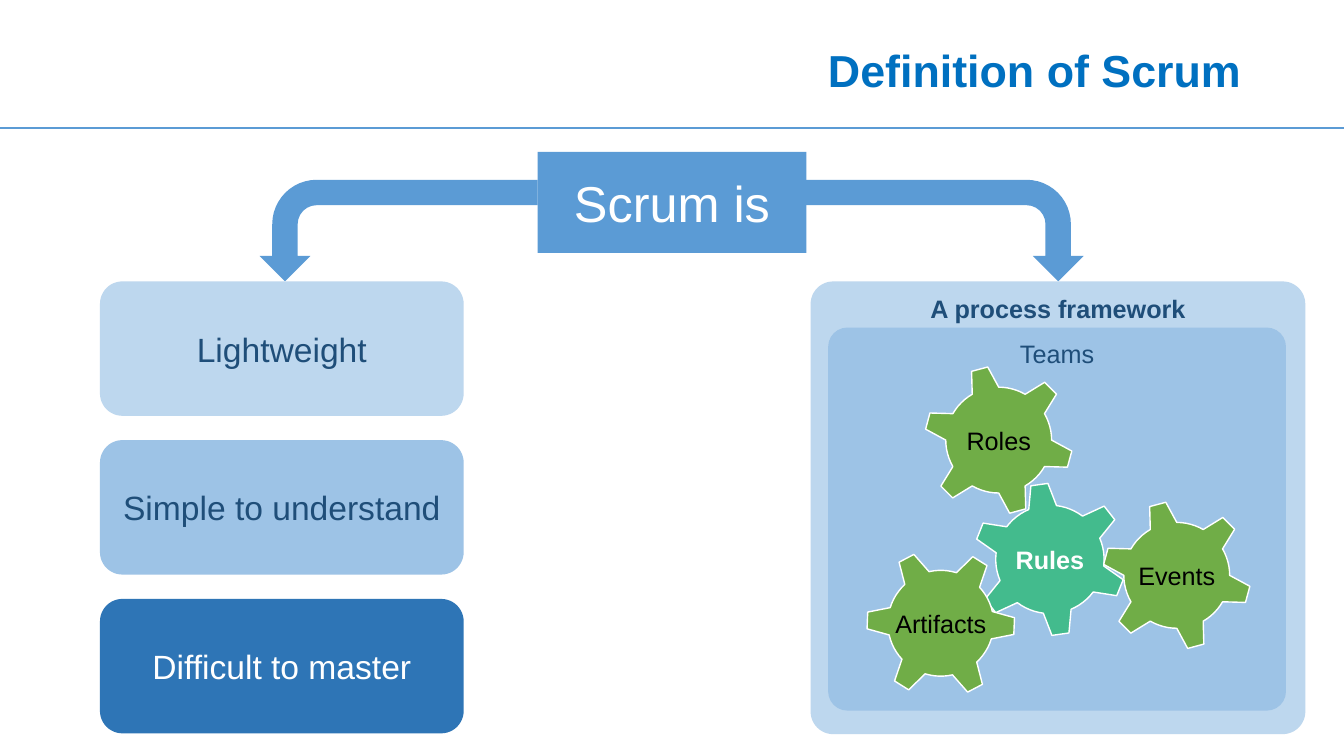
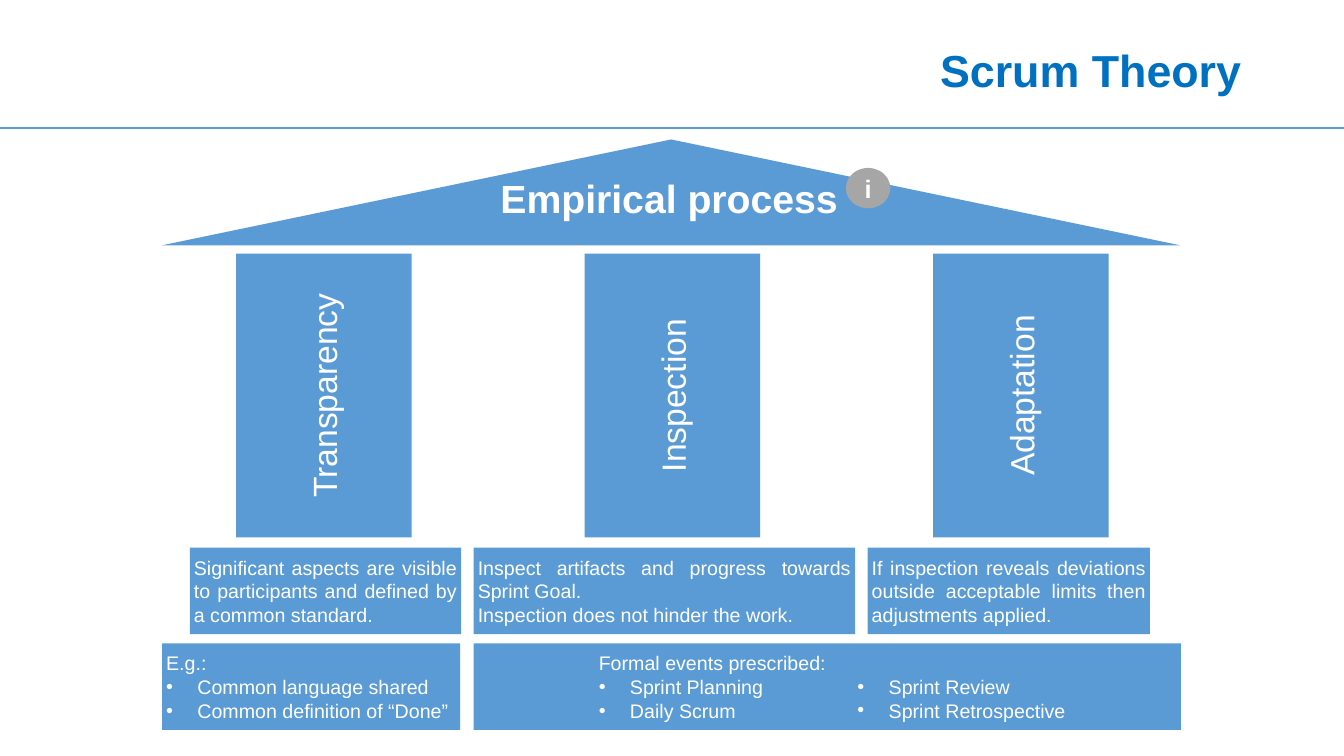
from dataclasses import dataclass, replace
from math import cos, radians, sin

from lxml import etree
from pptx import Presentation
from pptx.dml.color import RGBColor
from pptx.enum.shapes import MSO_CONNECTOR, MSO_SHAPE
from pptx.enum.text import MSO_ANCHOR, PP_ALIGN
from pptx.oxml.ns import qn
from pptx.util import Emu, Inches, Pt

RECTANGLE = MSO_SHAPE.RECTANGLE
ROUNDED = MSO_SHAPE.ROUNDED_RECTANGLE
BENT_ARROW = MSO_SHAPE.BENT_ARROW
TRIANGLE = MSO_SHAPE.ISOSCELES_TRIANGLE
OVAL = MSO_SHAPE.OVAL
STRAIGHT = MSO_CONNECTOR.STRAIGHT
LEFT, CENTER, RIGHT = PP_ALIGN.LEFT, PP_ALIGN.CENTER, PP_ALIGN.RIGHT
JUSTIFY = PP_ALIGN.JUSTIFY
TOP, MIDDLE = MSO_ANCHOR.TOP, MSO_ANCHOR.MIDDLE

COLUMNS, ROWS = 160, 90
CELL = Inches(1) // 12
FONT = "Arial"
BULLET_INDENT = Inches(0.31)
COLORS = {
    "title": "0070C0",
    "blue": "5B9BD5",
    "pale": "BDD7EE",
    "light": "9DC3E6",
    "deep": "2E75B6",
    "navy": "1F4E79",
    "green": "70AD47",
    "teal": "43BB8D",
    "gray": "A6A6A6",
    "white": "FFFFFF",
    "black": "000000",
}


@dataclass(frozen=True)
class Area:
    left: float
    top: float
    width: float
    height: float

    def emu(self) -> tuple:
        return tuple(cells(value) for value in (self.left, self.top, self.width, self.height))


@dataclass(frozen=True)
class Style:
    size: int
    color: str = "white"
    bold: bool = False
    align: PP_ALIGN = CENTER
    anchor: MSO_ANCHOR = MIDDLE
    wrap: bool = True
    tight: bool = False
    spacing: float = 1.0


@dataclass(frozen=True)
class Line:
    text: str
    bullet: bool = False


@dataclass(frozen=True)
class Card:
    text: str
    fill: str
    color: str


@dataclass(frozen=True)
class Gear:
    text: str
    column: float
    row: float
    turn: float
    fill: str = "green"
    hub: float = 6.3
    tip: float = 8.8
    color: str = "black"
    bold: bool = False


@dataclass(frozen=True)
class Panel:
    left: float
    width: float
    lines: tuple


TITLE = Style(32, "title", bold=True, align=RIGHT, spacing=0.9)
NOTE = Style(14, align=JUSTIFY, tight=True)

CARDS = (
    Card("Lightweight", "pale", "navy"),
    Card("Simple to understand", "light", "navy"),
    Card("Difficult to master", "deep", "white"),
)
GEARS = (
    Gear("Rules", 125, 66.6, -38, "teal", 6.45, 9.05, "white", True),
    Gear("Roles", 118.9, 52.4, -45),
    Gear("Events", 140.1, 68.5, -45),
    Gear("Artifacts", 112, 74.2, -57.8),
)
PILLARS = ("Transparency", "Inspection", "Adaptation")
NOTES = (
    Panel(22.6, 32.3, (
        Line("Significant aspects are visible to participants and defined by a common standard."),
    )),
    Panel(56.4, 45.4, (
        Line("Inspect artifacts and progress towards Sprint Goal."),
        Line("Inspection does not hinder the work."),
    )),
    Panel(103.3, 33.6, (
        Line("If inspection reveals deviations outside acceptable limits then adjustments applied."),
    )),
)
DETAILS = (
    Panel(19.3, 35.5, (
        Line("E.g.:"),
        Line("Common language shared", True),
        Line("Common definition of “Done”", True),
    )),
    Panel(56.4, 84.2, ()),
)
PLANNING = (
    Line("Formal events prescribed:"),
    Line("Sprint Planning", True),
    Line("Daily Scrum", True),
)
REVIEWS = (Line("Sprint Review", True), Line("Sprint Retrospective", True))


def cells(count: float) -> Emu:
    return Emu(round(count * CELL))


def color_of(name: str) -> RGBColor:
    return RGBColor.from_string(COLORS[name])


def add_bullet(para) -> None:
    properties = para._p.get_or_add_pPr()
    properties.set("marL", str(BULLET_INDENT))
    properties.set("indent", str(-BULLET_INDENT))
    etree.SubElement(properties, qn("a:buFont"), typeface=FONT)
    etree.SubElement(properties, qn("a:buChar"), char="•")


def write(shape, lines: tuple, style: Style) -> None:
    frame = shape.text_frame
    frame.word_wrap = style.wrap
    frame.vertical_anchor = style.anchor
    if style.tight:
        frame.margin_left = frame.margin_right = Inches(0.04)
    for index, line in enumerate(lines):
        para = frame.add_paragraph() if index else frame.paragraphs[0]
        para.text = line.text
        para.alignment = style.align
        para.line_spacing = style.spacing
        if line.bullet:
            add_bullet(para)
        para.font.name = FONT
        para.font.size = Pt(style.size)
        para.font.bold = style.bold
        para.font.color.rgb = color_of(style.color)


def paint(shape, fill: str) -> None:
    shape.shadow.inherit = False
    shape.fill.solid()
    shape.fill.fore_color.rgb = color_of(fill)
    shape.line.fill.background()


def add_box(page, area: Area, fill: str, kind=RECTANGLE, lines: tuple = (), style: Style = NOTE):
    box = page.shapes.add_shape(kind, *area.emu())
    paint(box, fill)
    write(box, lines, style)
    return box


def add_text(page, area: Area, lines: tuple, style: Style) -> None:
    write(page.shapes.add_textbox(*area.emu()), lines, style)


def add_page(deck, title: str):
    page = deck.slides.add_slide(deck.slide_layouts[6])
    rule = page.shapes.add_connector(STRAIGHT, 0, cells(15.2), cells(COLUMNS), cells(15.2))
    rule.line.color.rgb = color_of("blue")
    rule.line.width = Pt(1.5)
    etree.SubElement(rule._element.spPr, qn("a:effectLst"))
    add_text(page, Area(11, 4.8, 138, 7.7), (Line(title),), TITLE)
    return page


def add_arrow(page, left: float, rotation: int, mirrored: bool) -> None:
    arrow = add_box(page, Area(left, 10.9, 12.1, 33.1), "blue", BENT_ARROW)
    arrow.rotation = rotation
    if mirrored:
        arrow._element.spPr.find(qn("a:xfrm")).set("flipH", "1")


def gear_points(gear: Gear) -> list:
    profile = [(-15, gear.hub), (-6.5, gear.tip), (6.5, gear.tip)]
    profile += [(angle, gear.hub) for angle in range(15, 45, 5)]
    return [
        (
            cells(gear.column + radius * cos(radians(gear.turn + tooth + angle))),
            cells(gear.row + radius * sin(radians(gear.turn + tooth + angle))),
        )
        for tooth in range(0, 360, 60)
        for angle, radius in profile
    ]


def add_gear(page, gear: Gear) -> None:
    start, *rest = gear_points(gear)
    builder = page.shapes.build_freeform(*start)
    builder.add_line_segments(rest, close=True)
    shape = builder.convert_to_shape()
    paint(shape, gear.fill)
    shape.line.color.rgb = color_of("white")
    shape.line.width = Pt(1)
    write(shape, (Line(gear.text),), Style(18, gear.color, gear.bold, wrap=False))


def build_definition(deck) -> None:
    page = add_page(deck, "Definition of Scrum")
    add_box(page, Area(64, 18.1, 32, 12), "blue", lines=(Line("Scrum is"),), style=Style(36))
    add_arrow(page, 41.4, 270, True)
    add_arrow(page, 106.4, 90, False)
    for index, card in enumerate(CARDS):
        area = Area(11.9, 33.5 + 18.9 * index, 43.3, 16)
        add_box(page, area, card.fill, ROUNDED, (Line(card.text),), Style(24, card.color))
    heading = Style(18, "navy", bold=True, anchor=TOP)
    framework = add_box(page, Area(96.5, 33.5, 58.9, 53.9), "pale", ROUNDED,
                        (Line("A process framework"),), heading)
    teams = add_box(page, Area(98.6, 39, 54.5, 45.6), "light", ROUNDED,
                    (Line("Teams"),), replace(heading, bold=False))
    for frame in (framework, teams):
        frame.adjustments[0] = 0.05
    for gear in GEARS:
        add_gear(page, gear)


def build_theory(deck) -> None:
    page = add_page(deck, "Scrum Theory")
    for index, name in enumerate(PILLARS):
        area = Area(28.1 + 41.5 * index, 30.2, 20.9, 33.8)
        pillar = add_box(page, area, "blue", lines=(Line(name),), style=Style(24))
        pillar.text_frame._txBody.bodyPr.set("vert", "vert270")
    for top, panels in ((65.2, NOTES), (76.6, DETAILS)):
        for panel in panels:
            add_box(page, Area(panel.left, top, panel.width, 10.3), "blue", lines=panel.lines)
    add_box(page, Area(19.3, 16.6, 121.2, 12.6), "blue", TRIANGLE)
    add_text(page, Area(58.4, 20.2, 43.1, 6.8), (Line("Empirical process"),),
             Style(28, bold=True, align=LEFT, anchor=TOP, wrap=False))
    add_box(page, Area(100.7, 20, 5.3, 4.8), "gray", OVAL, (Line("i"),),
            Style(18, bold=True, wrap=False))
    add_text(page, Area(70.8, 76.6, 28.2, 10.3), PLANNING, NOTE)
    add_text(page, Area(101.6, 79.4, 28.2, 7.5), REVIEWS, NOTE)


def main() -> None:
    deck = Presentation()
    deck.slide_width = cells(COLUMNS)
    deck.slide_height = cells(ROWS)
    build_definition(deck)
    build_theory(deck)
    deck.save("out.pptx")


if __name__ == "__main__":
    main()
